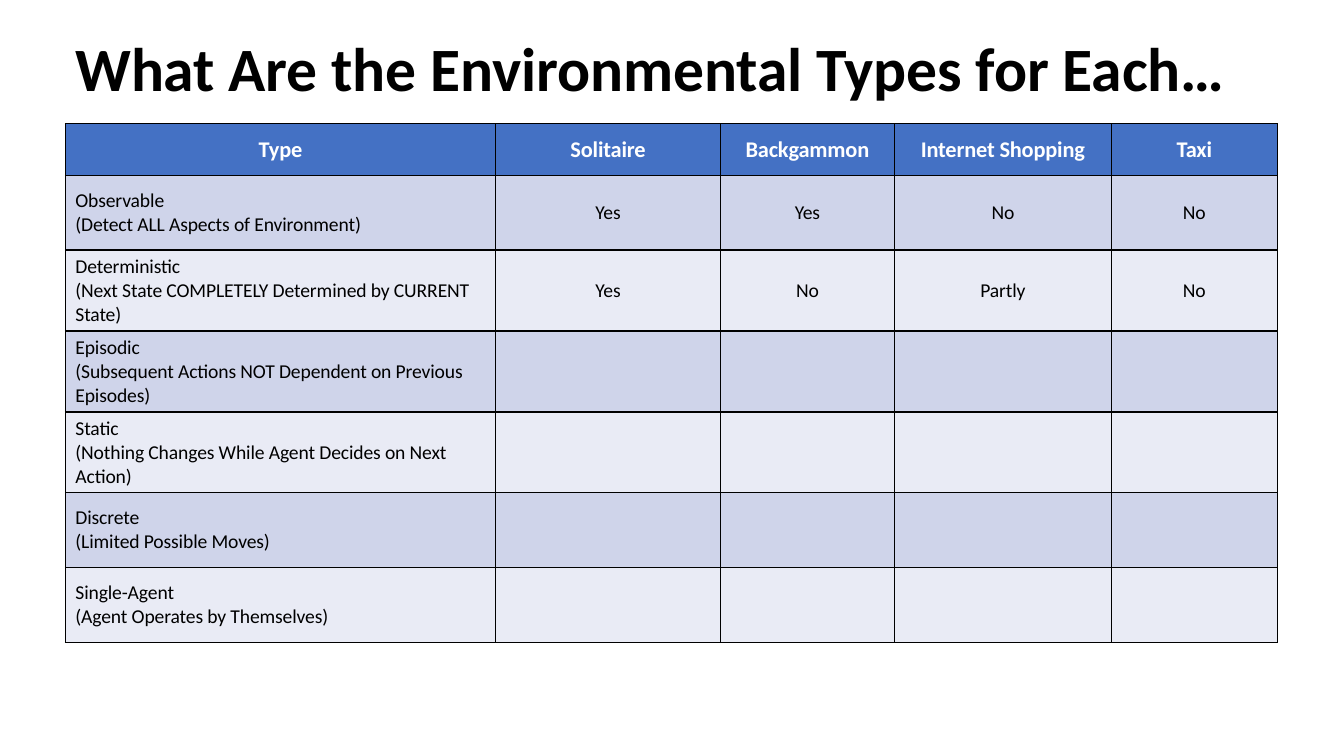
from lxml.etree import SubElement
from pptx import Presentation
from pptx.dml.color import RGBColor as RGB
from pptx.enum.text import MSO_ANCHOR as ANCHOR, PP_ALIGN as ALIGN
from pptx.oxml.ns import qn
from pptx.util import Cm, Pt

COLORS = {"black": "000000", "white": "FFFFFF", "header": "4471C4",
          "odd": "CFD4EA", "even": "E9EBF5"}
FONT = "Calibri"
HEADER = ["Type", "Solitaire", "Backgammon", "Internet Shopping", "Taxi"]
TYPES = [
    ["Observable\n(Detect ALL Aspects of Environment)", "Yes", "Yes", "No", "No"],
    ["Deterministic\n(Next State COMPLETELY Determined by CURRENT State)",
     "Yes", "No", "Partly", "No"],
    ["Episodic\n(Subsequent Actions NOT Dependent on Previous\nEpisodes)"],
    ["Static\n(Nothing Changes While Agent Decides on Next Action)"],
    ["Discrete\n(Limited Possible Moves)"],
    ["Single-Agent\n(Agent Operates by Themselves)"],
]
COL_WIDTHS = [10.84, 5.67, 4.38, 5.47, 4.18]
ROW_HEIGHTS = [1.3, 1.88, 2.04, 2.04, 2.04, 1.88, 1.88]


def write(tf, text, size, color, bold=False, align=ALIGN.LEFT):
    """Fill a text frame and format all its runs alike."""
    tf.text = text
    for p in tf.paragraphs:
        p.alignment = align
        for r in p.runs:
            r.font.name, r.font.size, r.font.bold = FONT, Pt(size), bold
            r.font.color.rgb = RGB.from_string(COLORS[color])
            r.font._element.set("spc", "-10")


def add_borders(cell):
    """Draw a thin black line on each side of a cell."""
    tcPr = cell._tc.get_or_add_tcPr()
    for side in ("a:lnL", "a:lnR", "a:lnT", "a:lnB"):
        ln = SubElement(tcPr, qn(side), w=str(Pt(1)))
        fill = SubElement(ln, qn("a:solidFill"))
        SubElement(fill, qn("a:srgbClr"), val=COLORS["black"])


def add_title(slide, left, top, width, height):
    """Place the bold heading in its box."""
    tf = slide.shapes.add_textbox(left, top, width, height).text_frame
    tf.word_wrap = True
    tf.margin_left = tf.margin_right = tf.margin_bottom = 0
    tf.margin_top = Cm(0.06)
    write(tf, "What Are the Environmental Types for Each…", 44, "black", True)


def add_types_table(slide, left, top):
    """Place the table of environment types from its top left corner."""
    rows = [HEADER] + TYPES
    frame = slide.shapes.add_table(len(rows), len(HEADER), left, top,
                                   Cm(sum(COL_WIDTHS)), Cm(sum(ROW_HEIGHTS)))
    table = frame.table
    table.horz_banding = False
    for col, width in zip(table.columns, COL_WIDTHS):
        col.width = Cm(width)
    for i, values in enumerate(rows):
        table.rows[i].height = Cm(ROW_HEIGHTS[i])
        fill = "header" if i == 0 else "odd" if i % 2 else "even"
        for j, cell in enumerate(table.rows[i].cells):
            add_borders(cell)
            cell.fill.solid()
            cell.fill.fore_color.rgb = RGB.from_string(COLORS[fill])
            cell.vertical_anchor = ANCHOR.MIDDLE
            cell.margin_right = cell.margin_top = cell.margin_bottom = 0
            cell.margin_left = Cm(0.25) if i and j == 0 else 0
            if j < len(values):
                write(cell.text_frame, values[j], 14 if i else 16,
                      "black" if i else "white", i == 0,
                      ALIGN.LEFT if i and j == 0 else ALIGN.CENTER)


def main():
    """Build the slide and save it."""
    prs = Presentation()
    prs.slide_width, prs.slide_height = Cm(33.87), Cm(19.05)
    slide = prs.slides.add_slide(prs.slide_layouts[6])
    add_title(slide, Cm(1.9), Cm(0.69), Cm(29.18), Cm(1.93))
    add_types_table(slide, Cm(1.65), Cm(3.12))
    prs.save("out.pptx")


if __name__ == "__main__":
    main()
